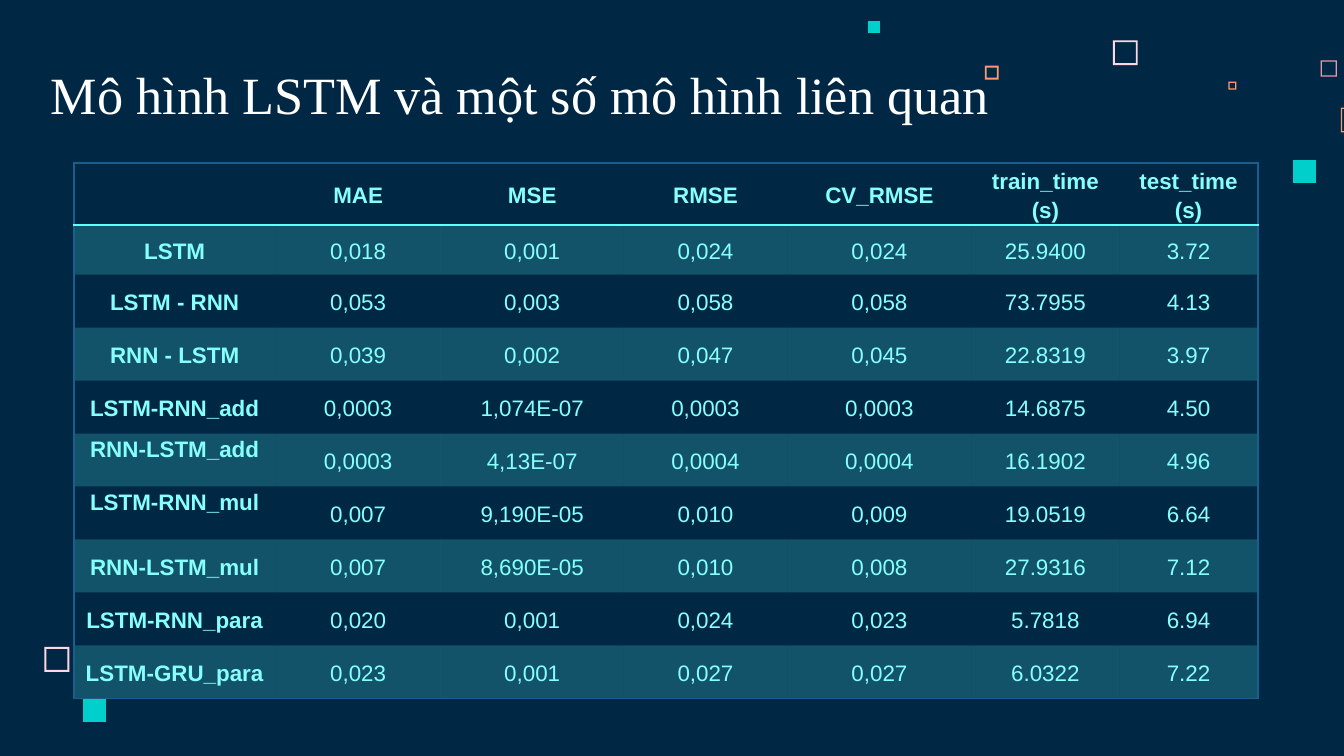
import pptx
import pptx.util
import pptx.dml.color
import pptx.enum.text
import pptx.oxml
import pptx.oxml.ns
from lxml import etree

Pt = pptx.util.Pt
RGB = pptx.dml.color.RGBColor.from_string
ALIGN = pptx.enum.text.PP_ALIGN
ANCHOR = pptx.enum.text.MSO_ANCHOR
qn = pptx.oxml.ns.qn

THEME = {
    "back": "002845", "title": "FFFFFF", "text": "86FFFD", "band": "5EFFFD",
    "edge": "1A5E8F", "pink": "FFD6E1", "rose": "E898AC", "coral": "FF9973",
    "teal": "00CFCC", "serif": "Times New Roman", "sans": "Arial",
    "big": 28, "small": 12,
}
TITLE = "Mô hình LSTM và một số mô hình liên quan"
HEAD = ["", "MAE", "MSE", "RMSE", "CV_RMSE", "train_time (s)", "test_time (s)"]
ROWS = [
    ["LSTM", "0,018", "0,001", "0,024", "0,024", "25.9400", "3.72"],
    ["LSTM - RNN", "0,053", "0,003", "0,058", "0,058", "73.7955", "4.13"],
    ["RNN - LSTM", "0,039", "0,002", "0,047", "0,045", "22.8319", "3.97"],
    ["LSTM-RNN_add", "0,0003", "1,074E-07", "0,0003", "0,0003", "14.6875", "4.50"],
    ["RNN-LSTM_add", "0,0003", "4,13E-07", "0,0004", "0,0004", "16.1902", "4.96"],
    ["LSTM-RNN_mul", "0,007", "9,190E-05", "0,010", "0,009", "19.0519", "6.64"],
    ["RNN-LSTM_mul", "0,007", "8,690E-05", "0,010", "0,008", "27.9316", "7.12"],
    ["LSTM-RNN_para", "0,020", "0,001", "0,024", "0,023", "5.7818", "6.94"],
    ["LSTM-GRU_para", "0,023", "0,001", "0,027", "0,027", "6.0322", "7.22"],
]
TOP_ROWS = (5, 6)
WIDTHS = [108, 88.6, 97.9, 87.8, 98.6, 79.2, 74.2]
HEIGHTS = [28.4, 26.6] + [28.4] * 8
# left, top, side, rim (0 is solid), colour
SQUARES = [
    (596.2, 21.6, 13.3, 1, "pink"),
    (707.5, 32.4, 8.7, 0.7, "rose"),
    (658.1, 43.7, 4.3, 0.7, "coral"),
    (718.3, 57.6, 13.3, 0.7, "coral"),
    (692.6, 85.7, 12.3, 0, "teal"),
    (527.6, 35.2, 7.4, 1, "coral"),
    (465, 11.3, 6.5, 0, "teal"),
    (23.8, 346.6, 13.3, 1, "pink"),
    (44.5, 374.4, 12.3, 0, "teal"),
]


def color(name):
    return RGB(THEME[name])


def style(part, font, size, tint, bold=False):
    for run in part.runs:
        run.font.name = THEME[font]
        run.font.size = Pt(THEME[size])
        run.font.bold = bold
        run.font.color.rgb = color(tint)


def draw_square(slide, left, top, side, rim, tint):
    x, y, end_x, end_y = (Pt(v) for v in (left, top, left + side, top + side))
    pen = slide.shapes.build_freeform(x, y, scale=1.0)
    pen.add_line_segments([(x, end_y), (end_x, end_y), (end_x, y)])
    if rim:
        gap = Pt(rim)
        x, y, end_x, end_y = x + gap, y + gap, end_x - gap, end_y - gap
        pen.move_to(x, y)
        pen.add_line_segments([(end_x, y), (end_x, end_y), (x, end_y)])
    shape = pen.convert_to_shape()
    shape.shadow.inherit = False
    shape.fill.solid()
    shape.fill.fore_color.rgb = color(tint)
    shape.line.fill.background()


def add_title(slide):
    box = slide.shapes.add_textbox(Pt(20.2), Pt(28.8), Pt(582.5), Pt(45.4))
    frame = box.text_frame
    frame.word_wrap = True
    frame.vertical_anchor = ANCHOR.BOTTOM
    frame.margin_left = frame.margin_right = Pt(7.2)
    frame.margin_top = frame.margin_bottom = Pt(7.2)
    frame.text = TITLE
    style(frame.paragraphs[0], "serif", "big", "title")


def set_fill(cell, band):
    if not band:
        cell.fill.background()
        return
    cell.fill.solid()
    cell.fill.fore_color.rgb = color("band")
    tint = cell._tc.tcPr.find(".//" + qn("a:srgbClr"))
    etree.SubElement(tint, qn("a:alpha"), val="20000")


def set_edges(cell, edges):
    for spot, (side, tint) in enumerate(edges):
        line = etree.Element(qn("a:ln" + side), w=str(Pt(1)))
        fill = etree.SubElement(line, qn("a:solidFill"))
        etree.SubElement(fill, qn("a:srgbClr"), val=THEME[tint])
        cell._tc.tcPr.insert(spot, line)


def fill_cell(cell, text, row, col):
    cell.margin_left = cell.margin_right = Pt(4.3)
    cell.margin_top = cell.margin_bottom = 0
    top = col == 0 and row in TOP_ROWS
    cell.vertical_anchor = ANCHOR.TOP if top else ANCHOR.MIDDLE
    cell.text_frame.text = text
    para = cell.text_frame.paragraphs[0]
    para.alignment = ALIGN.CENTER
    para.line_spacing = 1.15
    style(para, "sans", "small", "text", row == 0 or col == 0)
    set_fill(cell, row % 2 == 1)
    rules = [
        ("L", "edge", col == 0),
        ("R", "edge", col == len(HEAD) - 1),
        ("T", "edge", row == 0),
        ("B", "band", row == 0),
        ("B", "edge", row == len(ROWS)),
    ]
    set_edges(cell, [(side, tint) for side, tint, on in rules if on])


def add_grid(slide):
    data = [HEAD] + ROWS
    frame = slide.shapes.add_table(
        len(data), len(HEAD), Pt(39.6), Pt(87.4), Pt(sum(WIDTHS)), Pt(sum(HEIGHTS)))
    table = frame.table
    table.first_row = table.horz_banding = False
    plain = frame._element.find(".//" + qn("a:tableStyleId"))
    plain.text = "{2D5ABB26-0587-4C30-8999-92F81FD0307C}"
    for col, width in zip(table.columns, WIDTHS):
        col.width = Pt(width)
    for row, height in zip(table.rows, HEIGHTS):
        row.height = Pt(height)
    for row, texts in enumerate(data):
        for col, text in enumerate(texts):
            fill_cell(table.cell(row, col), text, row, col)


def main():
    deck = pptx.Presentation()
    deck.slide_width, deck.slide_height = Pt(720), Pt(405)
    slide = deck.slides.add_slide(deck.slide_layouts[6])
    slide.background.fill.solid()
    slide.background.fill.fore_color.rgb = color("back")
    for square in SQUARES:
        draw_square(slide, *square)
    add_title(slide)
    add_grid(slide)
    deck.save("out.pptx")


if __name__ == "__main__":
    main()
